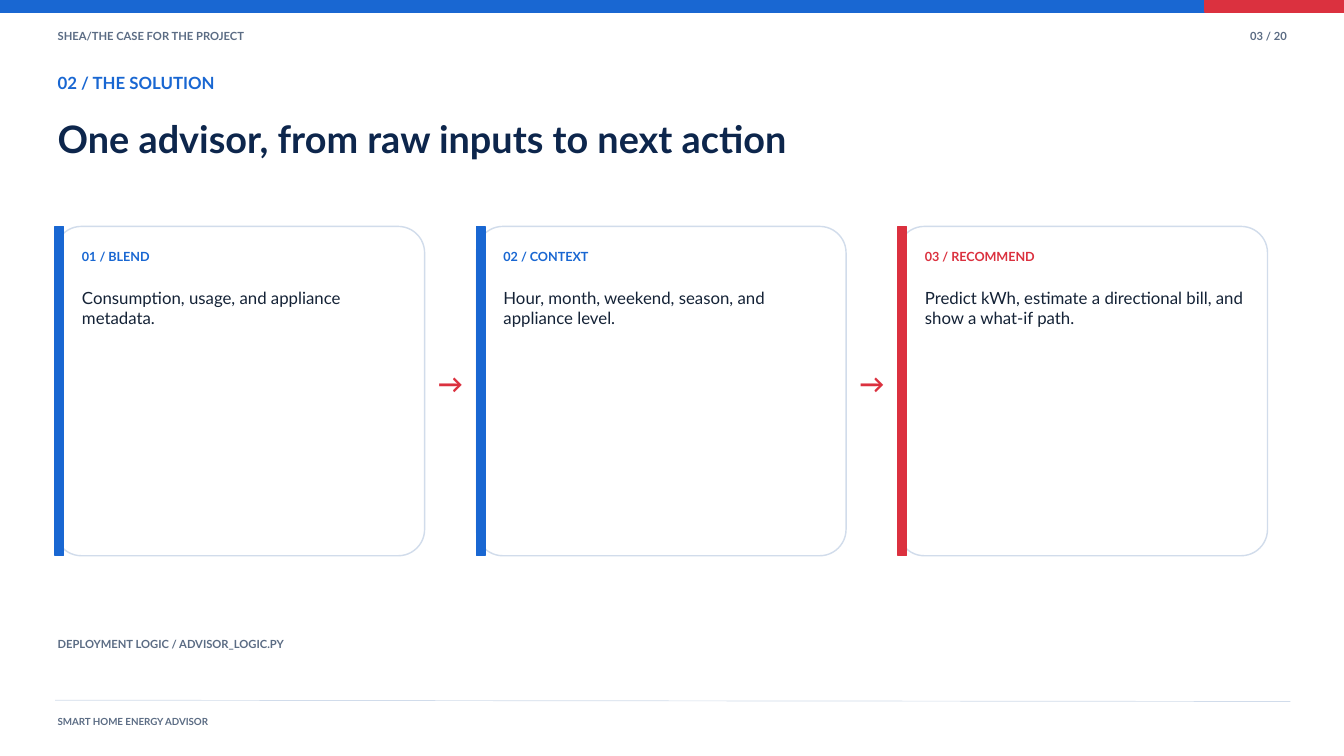
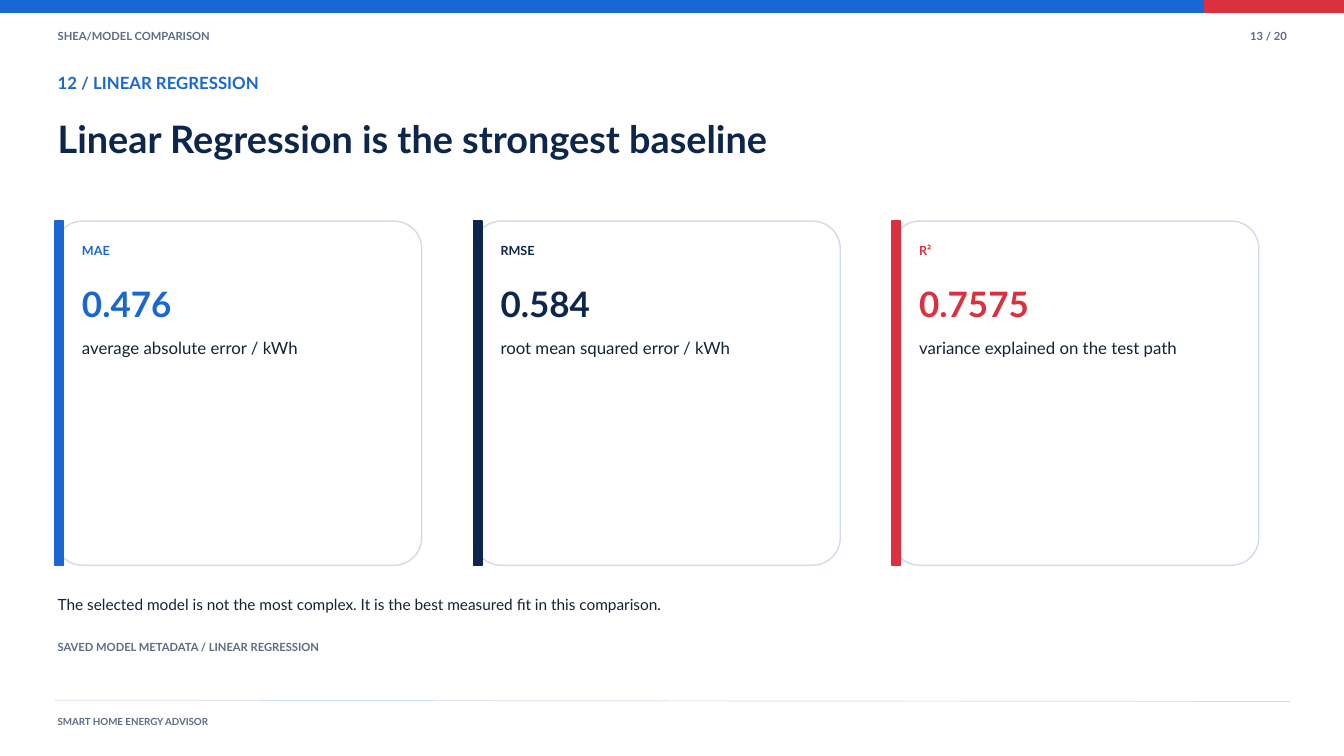
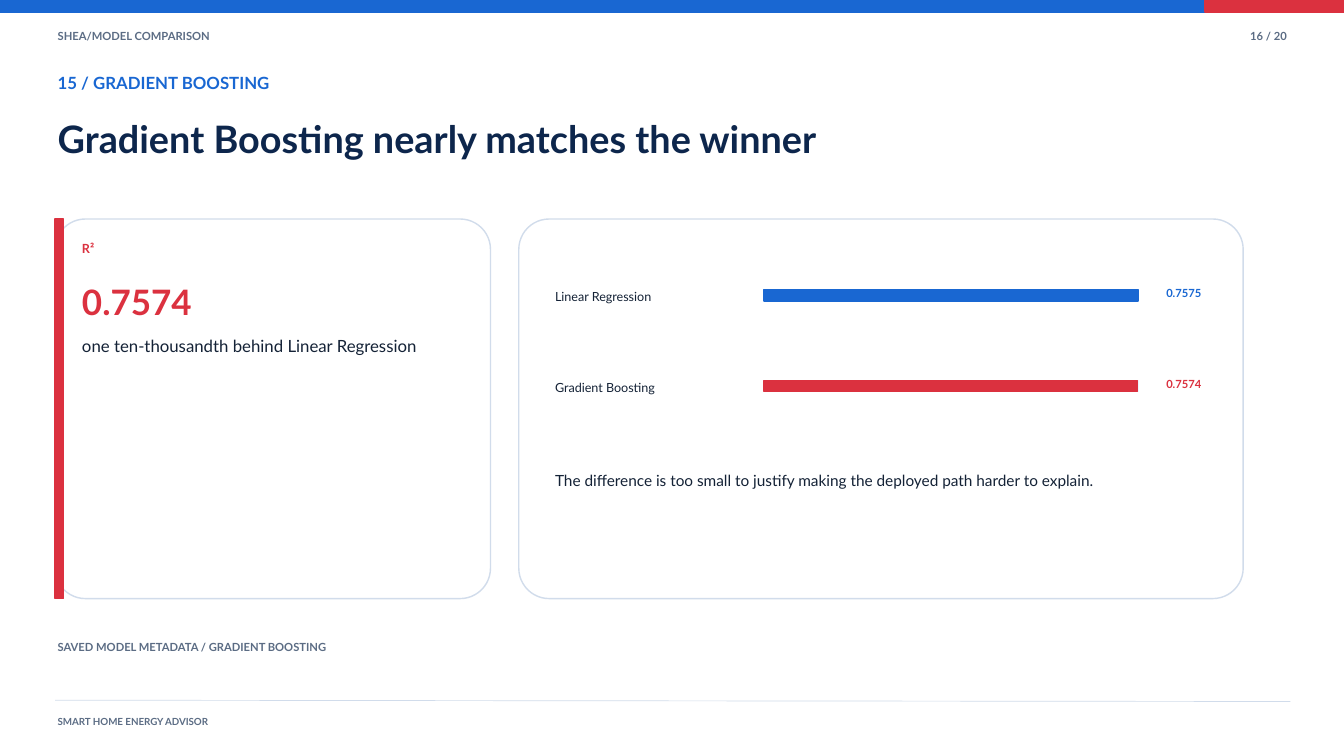
from dataclasses import dataclass
from lxml.etree import SubElement
from pptx import Presentation
from pptx.dml.color import RGBColor as RGB
from pptx.enum.shapes import MSO_CONNECTOR as Link, MSO_SHAPE as Kind
from pptx.enum.text import MSO_ANCHOR as Anchor, MSO_AUTO_SIZE as Fit, PP_ALIGN as Align
from pptx.oxml.ns import qn
from pptx.util import Cm, Pt


@dataclass(frozen=True)
class Theme:
    font: str = "Lato"
    blue: str = "1967D2"
    red: str = "DB313F"
    navy: str = "0D264C"
    ink: str = "142236"
    slate: str = "5B6C84"
    rule: str = "D1DCEB"
    pale: str = "EBF4FF"
    white: str = "FFFFFF"
    title: float = 40.5
    figure: float = 37.5
    arrow: float = 27
    body: float = 18
    remark: float = 16.5
    label: float = 13.5
    small: float = 12
    foot: float = 10.5


def write(shape, text, *, size, color, font, bold=False, align=Align.LEFT):
    frame = shape.text_frame
    frame.margin_left = frame.margin_right = 0
    frame.margin_top = frame.margin_bottom = 0
    frame.word_wrap = True
    frame.vertical_anchor = Anchor.TOP
    frame.auto_size = Fit.SHAPE_TO_FIT_TEXT
    frame.text = text
    para = frame.paragraphs[0]
    para.alignment = align
    para.line_spacing = Pt(size * 1.2)
    para.space_before = Pt(0)
    style = para.runs[0].font
    style.name = font
    style.size = Pt(size)
    style.bold = bold
    style.color.rgb = RGB.from_string(color)


class Deck:
    wide, high = 50.8, 28.58
    edge, left = 2.08, 2.18
    gap = 1.96
    inset = 1.02

    def __init__(self, theme):
        self.theme = theme
        self.show = Presentation()
        self.show.slide_width = Cm(self.wide)
        self.show.slide_height = Cm(self.high)
        self.slide = None

    def text(self, text, x, y, w, h, **style):
        box = self.slide.shapes.add_textbox(Cm(x), Cm(y), Cm(w), Cm(h))
        write(box, text, font=self.theme.font, **style)

    def block(self, x, y, w, h, fill, line=None, kind=Kind.RECTANGLE):
        shape = self.slide.shapes.add_shape(kind, Cm(x), Cm(y), Cm(w), Cm(h))
        shape.shadow.inherit = False
        shape.fill.solid()
        shape.fill.fore_color.rgb = RGB.from_string(fill)
        shape.line.color.rgb = RGB.from_string(line or fill)
        shape.line.width = Pt(1.5)
        return shape

    def line(self, x, y, end, low):
        line = self.slide.shapes.add_connector(
            Link.STRAIGHT, Cm(x), Cm(y), Cm(end), Cm(low))
        line.line.color.rgb = RGB.from_string(self.theme.rule)
        line.line.width = Pt(0.75)
        SubElement(line.element.spPr, qn("a:effectLst"))

    def page(self, number, topic, kicker, title):
        t = self.theme
        self.slide = self.show.slides.add_slide(self.show.slide_layouts[5])
        self.block(-0.03, -0.03, 50.9, 0.48, t.blue)
        self.block(45.54, -0.03, 5.33, 0.48, t.red)
        small = dict(size=t.small, color=t.slate, bold=True)
        self.text(f"SHEA/{topic}", self.left, 1.12, 30.35, 0.76, **small)
        self.text(f"{number:02} / 20", 44.98, 1.12, 3.66, 0.76,
                  align=Align.RIGHT, **small)
        self.text(f"{number - 1:02} / {kicker}", self.left, 2.74, 45.8, 1.19,
                  size=t.body, color=t.blue, bold=True)
        head = self.slide.shapes.title
        head.left, head.top = Cm(self.left), Cm(4.37)
        head.width, head.height = Cm(45.8), Cm(2.95)
        write(head, title, size=t.title, color=t.navy, font=t.font, bold=True)
        self.line(self.edge, 26.47, 48.77, 26.52)
        self.text("SMART HOME ENERGY ADVISOR", self.left, 27.05, 15.09, 0.56,
                  size=t.foot, color=t.slate, bold=True)

    def panel(self, x, y, w, h):
        t = self.theme
        panel = self.block(x, y, w, h, t.white, t.rule, Kind.ROUNDED_RECTANGLE)
        panel.adjustments[0] = 0.08

    def card(self, x, y, w, h, color, label, body, figure=None):
        t = self.theme
        self.panel(x, y, w, h)
        self.block(x, y, 0.32, h, color)
        x, span = x + self.inset, w - 1.8
        self.text(label, x, y + 0.84, span, 0.71,
                  size=t.label, color=color, bold=True)
        drop = 2.31
        if figure:
            self.text(figure, x, y + drop, span, 1.68,
                      size=t.figure, color=color, bold=True)
            drop = 4.42
        self.text(body, x, y + drop, span, h - drop - 0.78,
                  size=t.body, color=t.ink)

    def row(self, y, w, h, cards):
        for i, card in enumerate(cards):
            self.card(self.edge + i * (w + self.gap), y, w, h, *card)

    def arrow(self, mid, y):
        t = self.theme
        self.text("→", mid - 0.6, y, 1.2, 1, size=t.arrow, color=t.red,
                  bold=True, align=Align.CENTER)

    def bar(self, y, name, value, color, fill):
        t = self.theme
        self.text(name, 20.98, y, 7.85, 0.71, size=t.label, color=t.ink)
        self.block(28.88, y + 0.03, 14.16, 0.43, t.pale)
        self.block(28.88, y + 0.03, fill, 0.43, color)
        self.text(value, 43.2, y - 0.1, 2.21, 0.61, size=t.small, color=color,
                  bold=True, align=Align.RIGHT)

    def remark(self, text, x, y, w, h):
        self.text(text, x, y, w, h, size=self.theme.remark, color=self.theme.ink)

    def source(self, text, y=24.21):
        self.text(text, self.left, y, 30.35, 0.61,
                  size=self.theme.small, color=self.theme.slate, bold=True)


def solve(deck):
    t = deck.theme
    deck.page(3, "THE CASE FOR THE PROJECT", "THE SOLUTION",
              "One advisor, from raw inputs to next action")
    top, wide = 8.56, 13.97
    deck.row(top, wide, 12.45, [
        (t.blue, "01 / BLEND", "Consumption, usage, and appliance metadata."),
        (t.blue, "02 / CONTEXT",
         "Hour, month, weekend, season, and appliance level."),
        (t.red, "03 / RECOMMEND",
         "Predict kWh, estimate a directional bill, and show a what-if path."),
    ])
    for i in (1, 2):
        deck.arrow(deck.edge + i * (wide + deck.gap) - deck.gap / 2, top + 5.38)
    deck.source("DEPLOYMENT LOGIC / ADVISOR_LOGIC.PY", 24.1)


def linear(deck):
    t = deck.theme
    deck.page(13, "MODEL COMPARISON", "LINEAR REGRESSION",
              "Linear Regression is the strongest baseline")
    deck.row(8.36, 13.86, 13.01, [
        (t.blue, "MAE", "average absolute error / kWh", "0.476"),
        (t.navy, "RMSE", "root mean squared error / kWh", "0.584"),
        (t.red, "R²", "variance explained on the test path", "0.7575"),
    ])
    deck.remark("The selected model is not the most complex. "
                "It is the best measured fit in this comparison.",
                deck.left, 22.5, 43.69, 1.19)
    deck.source("SAVED MODEL METADATA / LINEAR REGRESSION")


def boost(deck):
    t = deck.theme
    deck.page(16, "MODEL COMPARISON", "GRADIENT BOOSTING",
              "Gradient Boosting nearly matches the winner")
    top, high = 8.28, 14.35
    deck.card(deck.edge, top, 16.46, high, t.red, "R²",
              "one ten-thousandth behind Linear Regression", "0.7574")
    deck.panel(19.61, top, 27.38, high)
    bars = [("Linear Regression", "0.7575", t.blue, 14.13),
            ("Gradient Boosting", "0.7574", t.red, 14.11)]
    for i, bar in enumerate(bars):
        deck.bar(10.92 + i * 3.43, *bar)
    deck.remark("The difference is too small to justify making "
                "the deployed path harder to explain.",
                20.98, 17.81, 23.11, 2.72)
    deck.source("SAVED MODEL METADATA / GRADIENT BOOSTING")


def main():
    deck = Deck(Theme())
    for build in (solve, linear, boost):
        build(deck)
    deck.show.save("out.pptx")


if __name__ == "__main__":
    main()
